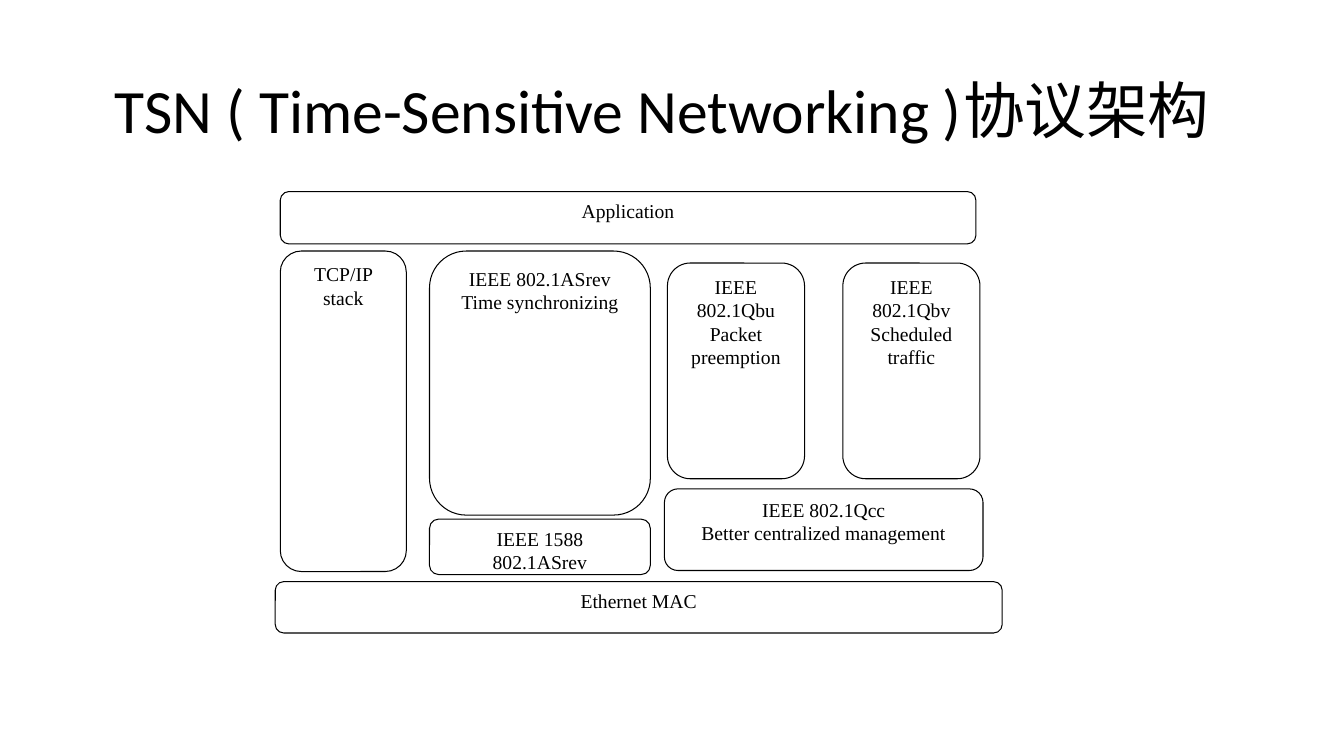
from pptx import Presentation
from pptx.dml.color import RGBColor
from pptx.enum.shapes import MSO_SHAPE
from pptx.enum.text import MSO_ANCHOR, MSO_AUTO_SIZE, PP_ALIGN
from pptx.util import Inches, Pt

THEME = {
    "ink": RGBColor(0, 0, 0),
    "paper": RGBColor(255, 255, 255),
    "line": Pt(0.75),
    "title": {"name": "Calibri", "size": Pt(44), "bold": False},
    "label": {"name": "Times New Roman", "size": Pt(14), "bold": False},
}
FRAME = {
    "word_wrap": True,
    "auto_size": MSO_AUTO_SIZE.NONE,
    "vertical_anchor": MSO_ANCHOR.TOP,
}
TITLE_PARA = {"alignment": PP_ALIGN.LEFT, "line_spacing": 0.9}
LABEL_PARA = {"alignment": PP_ALIGN.CENTER}

COLS = {
    "mac": (2.73, 7.21),
    "app": (2.78, 6.9),
    "stack": (2.78, 1.25),
    "sync": (4.26, 2.19),
    "manage": (6.59, 3.16),
    "preempt": (6.62, 1.36),
    "schedule": (8.36, 1.36),
}
ROWS = {
    "top": (1.9, 0.52),
    "full": (2.49, 3.18),
    "tall": (2.49, 2.62),
    "middle": (2.61, 2.14),
    "manage": (4.85, 0.81),
    "clock": (5.15, 0.55),
    "bottom": (5.77, 0.51),
}
LAYERS = [
    ("mac", "bottom", "Ethernet MAC"),
    ("stack", "full", "TCP/IP stack"),
    ("sync", "tall", "IEEE 802.1ASrev\nTime synchronizing"),
    ("sync", "clock", "IEEE 1588\n802.1ASrev"),
    ("manage", "manage", "IEEE 802.1Qcc\nBetter centralized management"),
    ("preempt", "middle", "IEEE 802.1Qbu\nPacket preemption"),
    ("schedule", "middle", "IEEE 802.1Qbv\nScheduled traffic"),
    ("app", "top", "Application"),
]


def set_attrs(obj, values):
    """Set each attribute of an object from a dict."""
    for name, value in values.items():
        setattr(obj, name, value)


def write_text(sp, text, font, para):
    """Write formatted text, one paragraph for each line."""
    tf = sp.text_frame
    tf.text = text
    set_attrs(tf, FRAME)
    for p in tf.paragraphs:
        set_attrs(p, para)
        for r in p.runs:
            set_attrs(r.font, font)
            r.font.color.rgb = THEME["ink"]


def add_title(slide, text):
    """Place and format the slide title."""
    sp = slide.shapes.title
    box = {"left": 1.04, "top": 0.75, "width": 11.15, "height": 0.77}
    set_attrs(sp, {name: Inches(v) for name, v in box.items()})
    write_text(sp, text, THEME["title"], TITLE_PARA)


def add_layer(group, col, row, text):
    """Add a rounded protocol box at a column and row."""
    (left, width), (top, height) = COLS[col], ROWS[row]
    sp = group.shapes.add_shape(
        MSO_SHAPE.FLOWCHART_ALTERNATE_PROCESS,
        *map(Inches, (left, top, width, height)),
    )
    sp.shadow.inherit = False
    sp.fill.solid()
    sp.fill.fore_color.rgb = THEME["paper"]
    sp.line.color.rgb = THEME["ink"]
    sp.line.width = THEME["line"]
    write_text(sp, text, THEME["label"], LABEL_PARA)


def main():
    """Build the protocol architecture slide."""
    prs = Presentation()
    prs.slide_width, prs.slide_height = Inches(13.33), Inches(7.5)
    slide = prs.slides.add_slide(prs.slide_layouts.get_by_name("Title Only"))
    add_title(slide, "TSN ( Time-Sensitive Networking )协议架构")
    group = slide.shapes.add_group_shape()
    for col, row, text in LAYERS:
        add_layer(group, col, row, text)
    prs.save("out.pptx")


if __name__ == "__main__":
    main()
